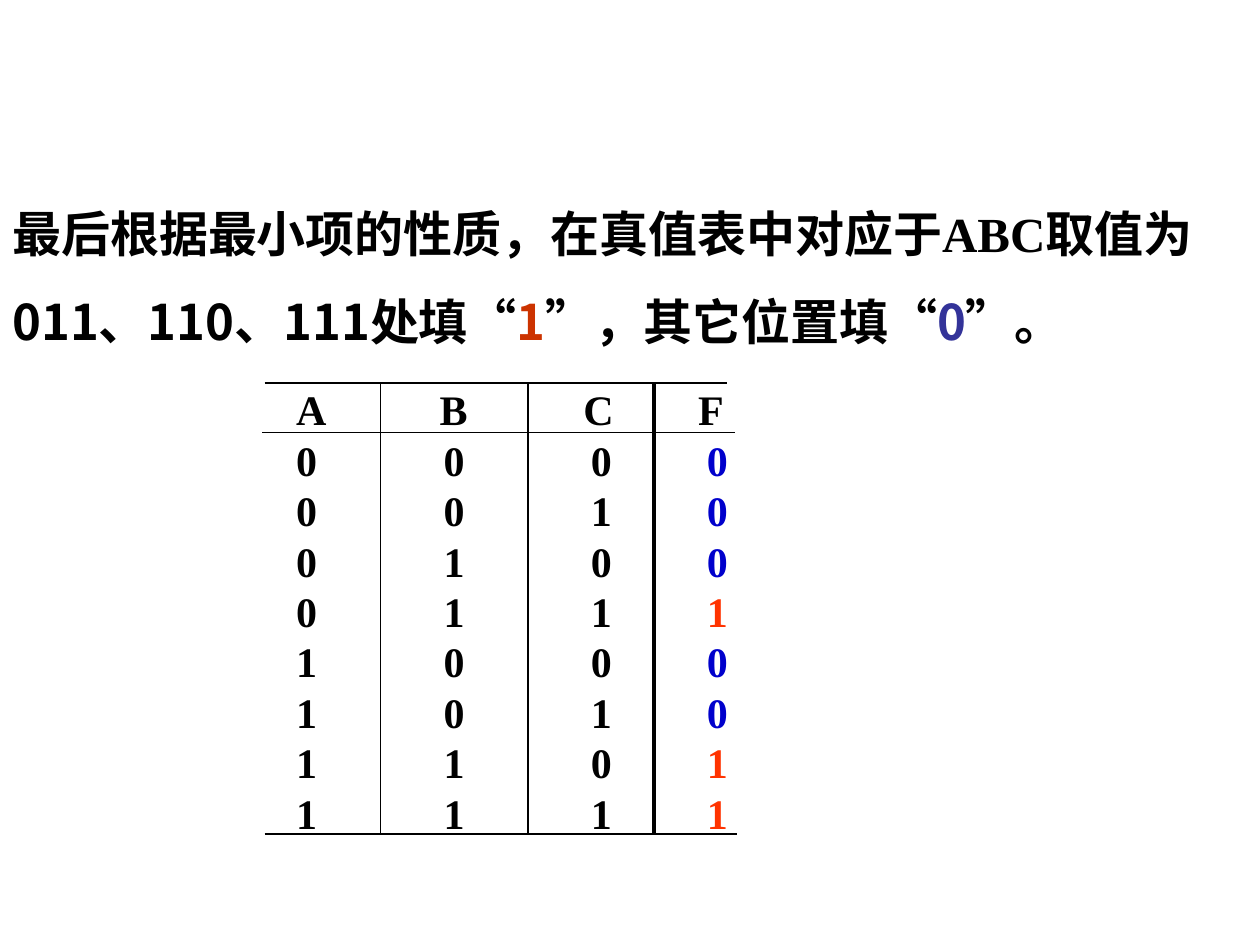
from lxml import etree
from pptx import Presentation
from pptx.dml.color import RGBColor
from pptx.enum import shapes, text
from pptx.oxml.ns import qn
from pptx.util import Inches, Pt

BLACK = RGBColor(0x00, 0x00, 0x00)
RUST = RGBColor(0xCC, 0x33, 0x00)
INDIGO = RGBColor(0x33, 0x33, 0x99)
BLUE = RGBColor(0x00, 0x00, 0xCC)
RED = RGBColor(0xFF, 0x33, 0x00)
CJK = "Noto Sans CJK SC"
SERIF = "Times New Roman"

prs = Presentation()
prs.slide_width, prs.slide_height = Inches(10), Inches(7.5)
s = prs.slides.add_slide(prs.slide_layouts[6])

tf = s.shapes.add_textbox(Inches(0), Inches(1.33), Inches(10), Inches(1.5)).text_frame
tf.word_wrap = True
p = tf.paragraphs[0]
p.line_spacing = 1.5
p.font.size, p.font.bold = Pt(28), True
for words, font, color in [
    ("最后根据最小项的性质，在真值表中对应于", CJK, BLACK),
    ("ABC", SERIF, BLACK),
    ("取值为011、110、111处填“", CJK, BLACK),
    ("1", CJK, RUST),
    ("”，其它位置填“", CJK, BLACK),
    ("0", CJK, INDIGO),
    ("”。", CJK, BLACK),
]:
    r = p.add_run()
    r.text = words
    r.font.name = font
    r.font.color.rgb = color
    etree.SubElement(r._r.get_or_add_rPr(), qn("a:ea"), typeface=CJK)

minterms = (0b011, 0b110, 0b111)
rows = ["ABCF"] + [f"{n:03b}{int(n in minterms)}" for n in range(8)]
col_widths = (0.93, 1.17, 1, 0.66)
head_margins = (0.26, 0.47, 0.44, 0.35)
body_margins = (0.26, 0.5, 0.5, 0.42)

tbl = s.shapes.add_table(9, 4, Inches(2.09), Inches(3.05), Inches(3.76), Inches(3.6)).table
tbl.first_row = tbl.horz_banding = False
tbl._tbl.tblPr.find(qn("a:tableStyleId")).text = "{2D5ABB26-0587-4C30-8999-92F81FD0307C}"
for col, width in zip(tbl.columns, col_widths):
    col.width = Inches(width)

for i, values in enumerate(rows):
    tbl.rows[i].height = Inches(0.4)
    for j, value in enumerate(values):
        cell = tbl.cell(i, j)
        cell.margin_left = Inches((body_margins if i else head_margins)[j])
        cell.margin_right = cell.margin_top = cell.margin_bottom = 0
        cell.vertical_anchor = text.MSO_ANCHOR.BOTTOM
        cell.fill.background()
        cell.text = value
        p = cell.text_frame.paragraphs[0]
        p.font.name, p.font.size, p.font.bold = SERIF, Pt(24), True
        p.font.color.rgb = {"0": BLUE, "1": RED}[value] if i and j == 3 else BLACK

top, bottom = 3.04, 6.62
for x1, y1, x2, y2, weight in [
    (2.1, top, 5.77, top, 1.5),
    (2.08, 3.43, 5.83, 3.43, 0.75),
    (2.1, bottom, 5.85, bottom, 0.75),
    (3.02, top, 3.02, bottom, 0.75),
    (4.19, top, 4.19, bottom, 0.75),
    (5.19, top, 5.19, bottom, 2.25),
]:
    rule = s.shapes.add_connector(
        shapes.MSO_CONNECTOR.STRAIGHT, Inches(x1), Inches(y1), Inches(x2), Inches(y2)
    )
    rule.line.color.rgb = BLACK
    rule.line.width = Pt(weight)
    etree.SubElement(rule._element.spPr, qn("a:effectLst"))

prs.save("out.pptx")
